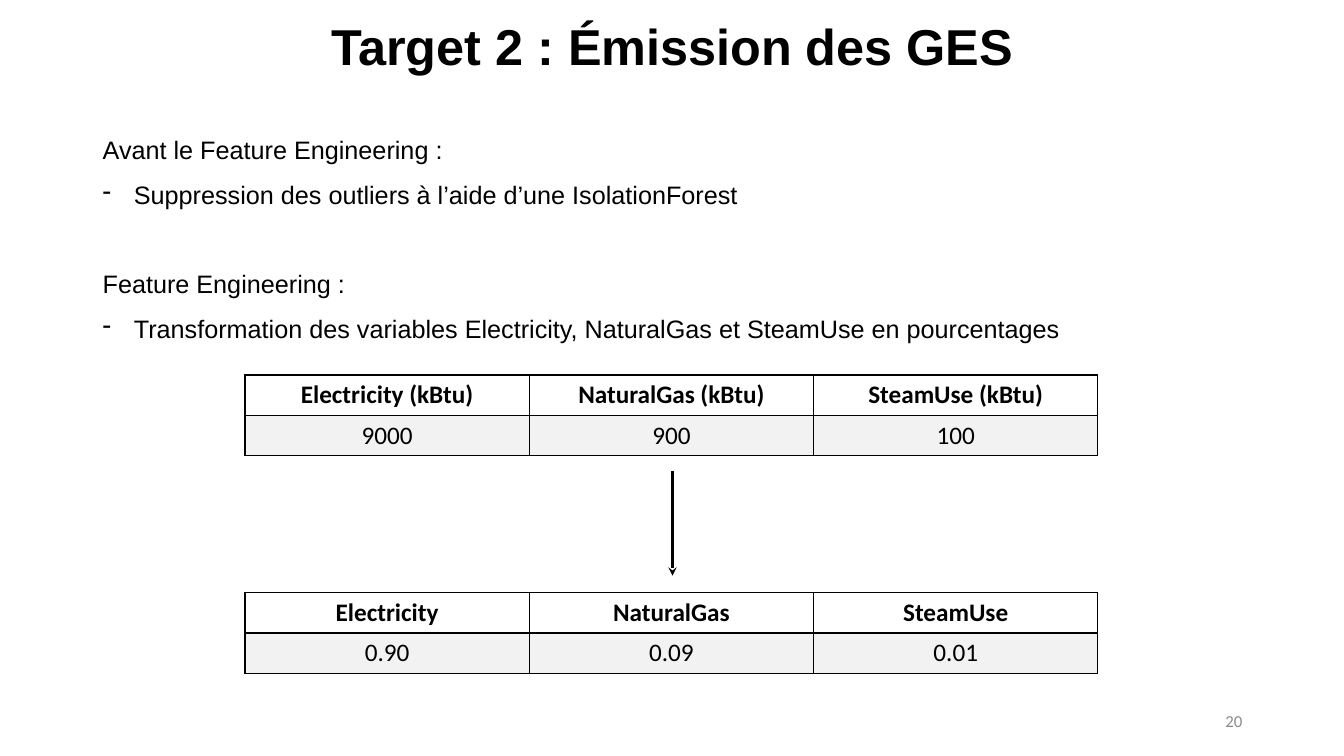
from dataclasses import dataclass

from lxml import etree
from pptx import Presentation
from pptx import util as u
from pptx.dml.color import RGBColor
from pptx.enum import shapes, text
from pptx.oxml import parse_xml
from pptx.oxml.ns import qn

SCALE = 9144
NS = 'xmlns:a="http://schemas.openxmlformats.org/drawingml/2006/main"'


@dataclass(frozen=True)
class Theme:
    ink: str = "000000"
    paper: str = "FFFFFF"
    band: str = "F2F2F2"
    mute: str = "8C8C8C"
    head: str = "Arial"
    grid: str = "Calibri"
    large: int = 36
    body: int = 18
    small: int = 12


@dataclass(frozen=True)
class Box:
    x: int
    y: int
    w: int
    h: int

    def emu(self) -> list[u.Emu]:
        return [px(n) for n in (self.x, self.y, self.w, self.h)]


@dataclass(frozen=True)
class Group:
    title: str
    item: str
    gap: int


@dataclass(frozen=True)
class Sheet:
    top: int
    rows: tuple[tuple[str, ...], ...]


THEME = Theme()
GROUPS = (
    Group("Avant le Feature Engineering :",
          "Suppression des outliers à l’aide d’une IsolationForest", 0),
    Group("Feature Engineering :",
          "Transformation des variables Electricity, NaturalGas et SteamUse en pourcentages", 31),
)
SHEETS = (
    Sheet(372, (("Electricity (kBtu)", "NaturalGas (kBtu)", "SteamUse (kBtu)"),
                ("9000", "900", "100"))),
    Sheet(588, (("Electricity", "NaturalGas", "SteamUse"),
                ("0.90", "0.09", "0.01"))),
)
LEFT, COL, ROW = 243, 282, 40
DASH = 31


def px(n: int) -> u.Emu:
    return u.Emu(n * SCALE)


def rgb(code: str) -> RGBColor:
    return RGBColor.from_string(code)


def write(par, words: str, *, size: int = THEME.body, font: str = THEME.head,
          color: str = THEME.ink, bold: bool = False, align=text.PP_ALIGN.LEFT,
          line: float = 1.0, gap: int = 0, dash: bool = False) -> None:
    run = par.add_run()
    run.text = words
    run.font.size = u.Pt(size)
    run.font.name = font
    run.font.bold = bold
    run.font.color.rgb = rgb(color)
    par.alignment = align
    par.line_spacing = line
    par.space_before = u.Pt(gap)
    if dash:
        props = par._p.get_or_add_pPr()
        props.set("marL", str(px(DASH)))
        props.set("indent", str(-px(DASH)))
        etree.SubElement(props, qn("a:buChar")).set("char", "-")


def frame(slide, box: Box, mid: bool = False):
    area = slide.shapes.add_textbox(*box.emu()).text_frame
    area.word_wrap = True
    area.vertical_anchor = text.MSO_ANCHOR.MIDDLE if mid else text.MSO_ANCHOR.TOP
    return area


def title(slide, words: str) -> None:
    shape = slide.shapes.title
    shape.left, shape.top, shape.width, shape.height = Box(92, 0, 1150, 98).emu()
    area = shape.text_frame
    area.auto_size = text.MSO_AUTO_SIZE.NONE
    area.vertical_anchor = text.MSO_ANCHOR.MIDDLE
    write(area.paragraphs[0], words, size=THEME.large, bold=True,
          align=text.PP_ALIGN.CENTER, line=0.9)


def notes(slide) -> None:
    area = frame(slide, Box(92, 113, 1150, 232))
    for i, group in enumerate(GROUPS):
        par = area.add_paragraph() if i else area.paragraphs[0]
        write(par, group.title, line=1.5, gap=group.gap)
        write(area.add_paragraph(), group.item, line=1.5, dash=True)


def edge(cell) -> None:
    props = cell._tc.get_or_add_tcPr()
    for side in ("L", "R", "T", "B"):
        props.append(parse_xml(
            f'<a:ln{side} {NS} w="{u.Pt(1)}"><a:solidFill>'
            f'<a:srgbClr val="{THEME.ink}"/></a:solidFill></a:ln{side}>'))


def table(slide, sheet: Sheet) -> None:
    rows, cols = len(sheet.rows), len(sheet.rows[0])
    box = Box(LEFT, sheet.top, cols * COL, rows * ROW)
    grid = slide.shapes.add_table(rows, cols, *box.emu()).table
    grid.first_row = grid.horz_banding = False
    for r, row in enumerate(sheet.rows):
        for c, words in enumerate(row):
            cell = grid.cell(r, c)
            edge(cell)
            cell.fill.solid()
            cell.fill.fore_color.rgb = rgb(THEME.band if r else THEME.paper)
            cell.margin_top = cell.margin_bottom = px(4)
            cell.vertical_anchor = text.MSO_ANCHOR.MIDDLE
            write(cell.text_frame.paragraphs[0], words, font=THEME.grid,
                  bold=r == 0, align=text.PP_ALIGN.CENTER)


def arrow(slide, x: int, top: int, end: int) -> None:
    link = slide.shapes.add_connector(
        shapes.MSO_CONNECTOR.STRAIGHT, px(x), px(top), px(x), px(end))
    link.line.color.rgb = rgb(THEME.ink)
    link.line.width = u.Pt(1.5)
    etree.SubElement(link.line._get_or_add_ln(), qn("a:tailEnd")).set("type", "stealth")
    etree.SubElement(link._element.spPr, qn("a:effectLst"))


def main() -> None:
    deck = Presentation()
    deck.slide_width, deck.slide_height = px(1333), px(750)
    slide = deck.slides.add_slide(deck.slide_layouts.get_by_name("Title Only"))
    title(slide, "Target 2 : Émission des GES")
    notes(slide)
    for sheet in SHEETS:
        table(slide, sheet)
    arrow(slide, 667, 467, 571)
    page = frame(slide, Box(942, 695, 300, 40), mid=True)
    write(page.paragraphs[0], "20", size=THEME.small, font=THEME.grid,
          color=THEME.mute, align=text.PP_ALIGN.RIGHT)
    deck.save("out.pptx")


if __name__ == "__main__":
    main()
